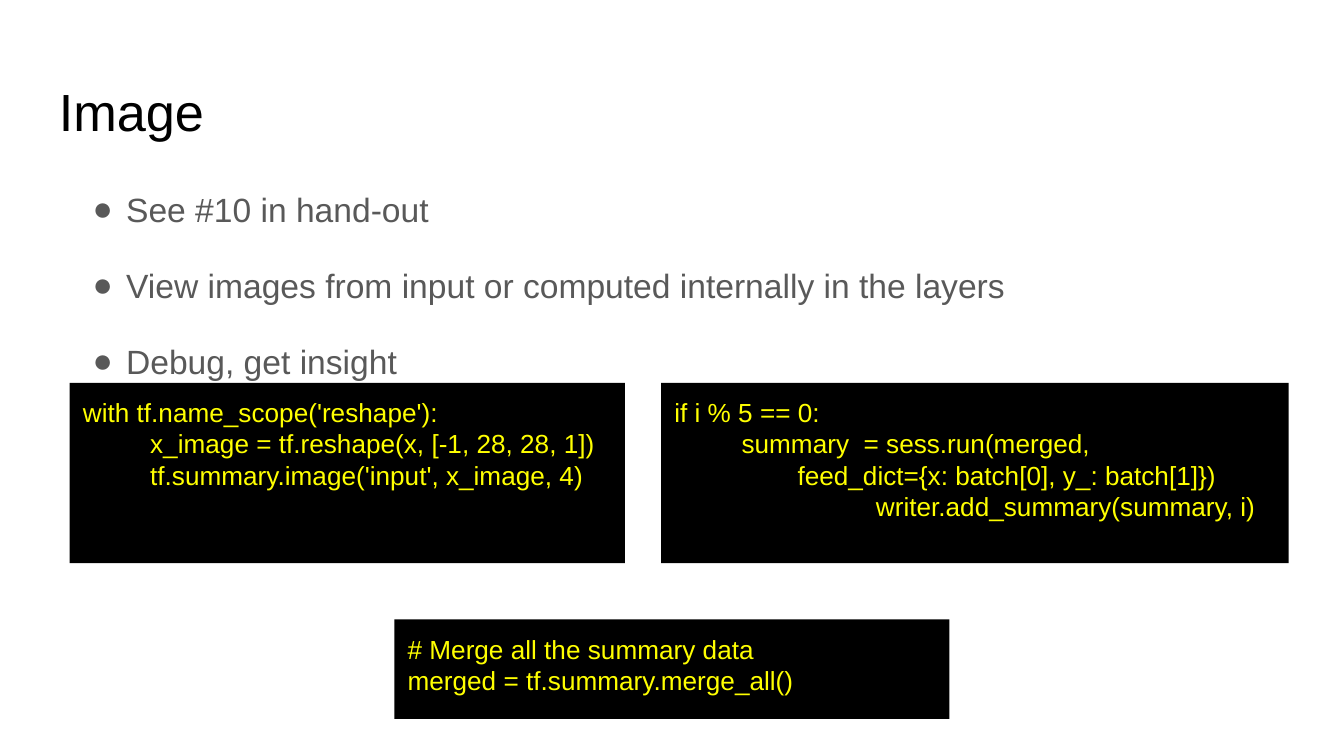
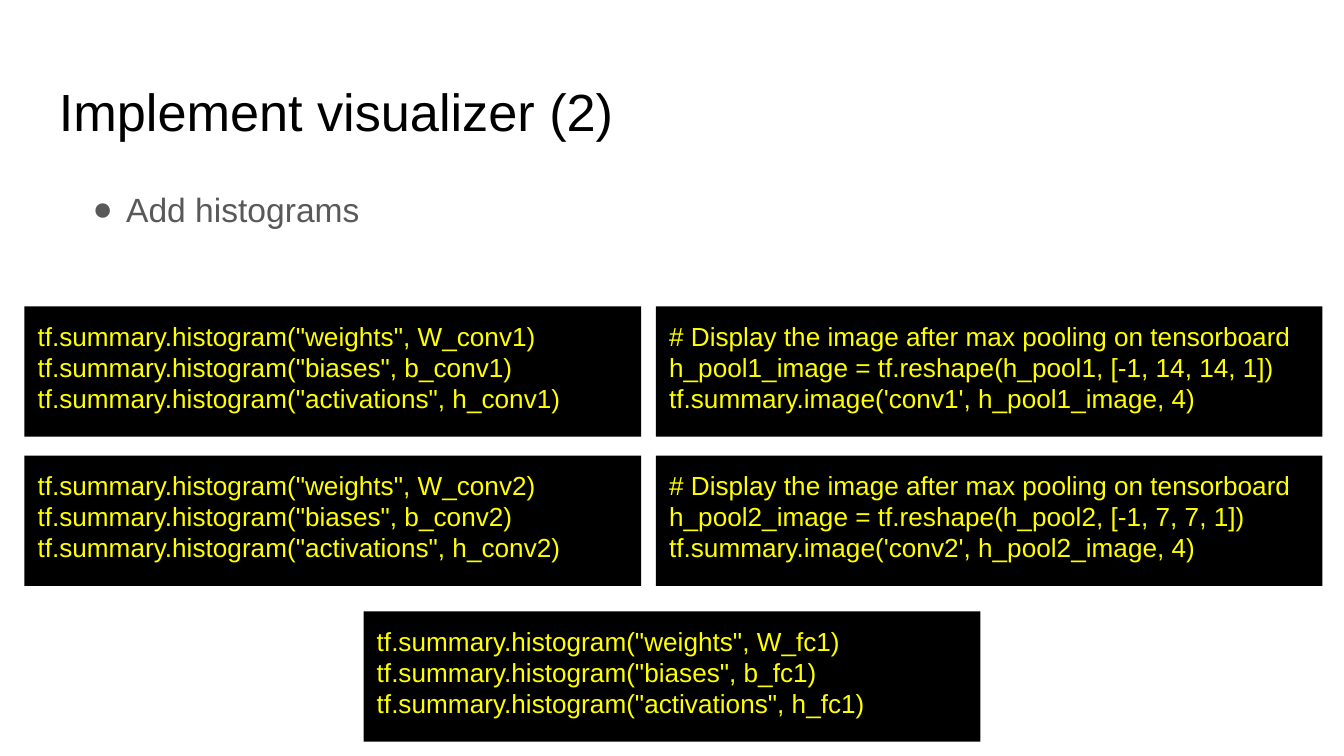
from dataclasses import dataclass

from lxml import etree
from pptx import Presentation
from pptx.dml.color import RGBColor
from pptx.enum.shapes import MSO_SHAPE
from pptx.enum.text import MSO_ANCHOR, PP_ALIGN
from pptx.oxml.ns import qn
from pptx.util import Pt

RECTANGLE = MSO_SHAPE.RECTANGLE
TOP = MSO_ANCHOR.TOP
LEFT = PP_ALIGN.LEFT

SLIDE_WIDTH = 720
SLIDE_HEIGHT = 405


@dataclass(frozen=True)
class Theme:
    font: str = "Arial"
    title_color: str = "000000"
    body_color: str = "595959"
    code_color: str = "FFFF00"
    code_fill: str = "000000"
    title_size: float = 28
    body_size: float = 18
    code_size: float = 14
    inset: float = 7.2
    margin: float = 24.5
    title_top: float = 35.3
    title_height: float = 45.4
    body_top: float = 90.7


class SlideBuilder:
    def __init__(self, deck, theme):
        self.deck = deck
        self.theme = theme
        self.slide = None

    def new_slide(self, title):
        self.slide = self.deck.slides.add_slide(self.deck.slide_layouts[6])
        theme = self.theme
        box = self.text_box(theme.title_top, theme.title_height)
        self.fill_text(box, [title], theme.title_size, theme.title_color)

    def text_box(self, top, height):
        margin = self.theme.margin
        return self.slide.shapes.add_textbox(
            Pt(margin), Pt(top), Pt(SLIDE_WIDTH - 2 * margin), Pt(height))

    def fill_text(self, box, lines, size, color):
        frame = box.text_frame
        frame.word_wrap = True
        frame.vertical_anchor = TOP
        inset = Pt(self.theme.inset)
        frame.margin_left = frame.margin_right = inset
        frame.margin_top = frame.margin_bottom = inset
        frame.text = "\n".join(lines)
        for para in frame.paragraphs:
            para.alignment = LEFT
            for span in para.runs:
                span.font.name = self.theme.font
                span.font.size = Pt(size)
                span.font.color.rgb = RGBColor.from_string(color)
        return frame.paragraphs

    def indent(self, para, left, first):
        properties = para._p.get_or_add_pPr()
        properties.set("marL", str(Pt(left)))
        properties.set("indent", str(Pt(first)))
        return properties

    def tab_stop(self, para, position):
        stops = etree.SubElement(para._p.get_or_add_pPr(), qn("a:tabLst"))
        etree.SubElement(stops, qn("a:tab"), pos=str(Pt(position)), algn="l")

    def bullets(self, lines, height):
        theme = self.theme
        box = self.text_box(theme.body_top, height)
        for para in self.fill_text(box, lines, theme.body_size, theme.body_color):
            para.line_spacing = 1.15
            para.space_after = Pt(16)
            properties = self.indent(para, 36, -18)
            bullet_color = etree.SubElement(properties, qn("a:buClr"))
            etree.SubElement(bullet_color, qn("a:srgbClr"), val=theme.body_color)
            etree.SubElement(properties, qn("a:buFont"), typeface=theme.font)
            etree.SubElement(properties, qn("a:buChar"), char="●")

    def code(self, left, top, width, height, lines):
        theme = self.theme
        box = self.slide.shapes.add_shape(
            RECTANGLE, Pt(left), Pt(top), Pt(width), Pt(height))
        box.shadow.inherit = False
        box.fill.solid()
        box.fill.fore_color.rgb = RGBColor.from_string(theme.code_fill)
        box.line.fill.background()
        return self.fill_text(box, lines, theme.code_size, theme.code_color)

    def centered_code(self, top, width, height, lines):
        return self.code((SLIDE_WIDTH - width) / 2, top, width, height, lines)


def histogram_lines(layer):
    pairs = (("weights", "W"), ("biases", "b"), ("activations", "h"))
    return [f'tf.summary.histogram("{name}", {prefix}_{layer})'
            for name, prefix in pairs]


def pooling_lines(number, side):
    image = f"h_pool{number}_image"
    return [
        "# Display the image after max pooling on tensorboard",
        f"{image} = tf.reshape(h_pool{number}, [-1, {side}, {side}, 1])",
        f"tf.summary.image('conv{number}', {image}, 4)",
    ]


def image_slide(builder):
    builder.new_slide("Image")
    builder.bullets([
        "See #10 in hand-out",
        "View images from input or computed internally in the layers",
        "Debug, get insight",
    ], 67)
    top, width, height = 205.2, 297.4, 96.5
    builder.code(37.4, top, width, height, [
        "with tf.name_scope('reshape'):",
        "\tx_image = tf.reshape(x, [-1, 28, 28, 1])",
        "\ttf.summary.image('input', x_image, 4)",
    ])
    builder.centered_code(331.9, width, 53.3, [
        "# Merge all the summary data",
        "merged = tf.summary.merge_all()",
    ])
    training = builder.code(354.2, top, 336.2, height, [
        "if i % 5 == 0:",
        "\tsummary  = sess.run(merged,",
        "feed_dict={x: batch[0], y_: batch[1]})",
        "\twriter.add_summary(summary, i)",
    ])
    builder.indent(training[2], 36, 30)
    builder.tab_stop(training[3], 108)


def histogram_slide(builder):
    builder.new_slide("Implement visualizer (2)")
    builder.bullets(["Add histograms"], 57.6)
    width, height = 330.5, 69.8
    first_top, row_step = 164.2, 79.9
    for number, side in ((1, 14), (2, 7)):
        top = first_top + (number - 1) * row_step
        builder.code(13, top, width, height, histogram_lines(f"conv{number}"))
        builder.code(351.4, top, 357.1, height, pooling_lines(number, side))
    builder.centered_code(327.6, width, height, histogram_lines("fc1"))


def main():
    deck = Presentation()
    deck.slide_width = Pt(SLIDE_WIDTH)
    deck.slide_height = Pt(SLIDE_HEIGHT)
    builder = SlideBuilder(deck, Theme())
    image_slide(builder)
    histogram_slide(builder)
    deck.save("out.pptx")


if __name__ == "__main__":
    main()
